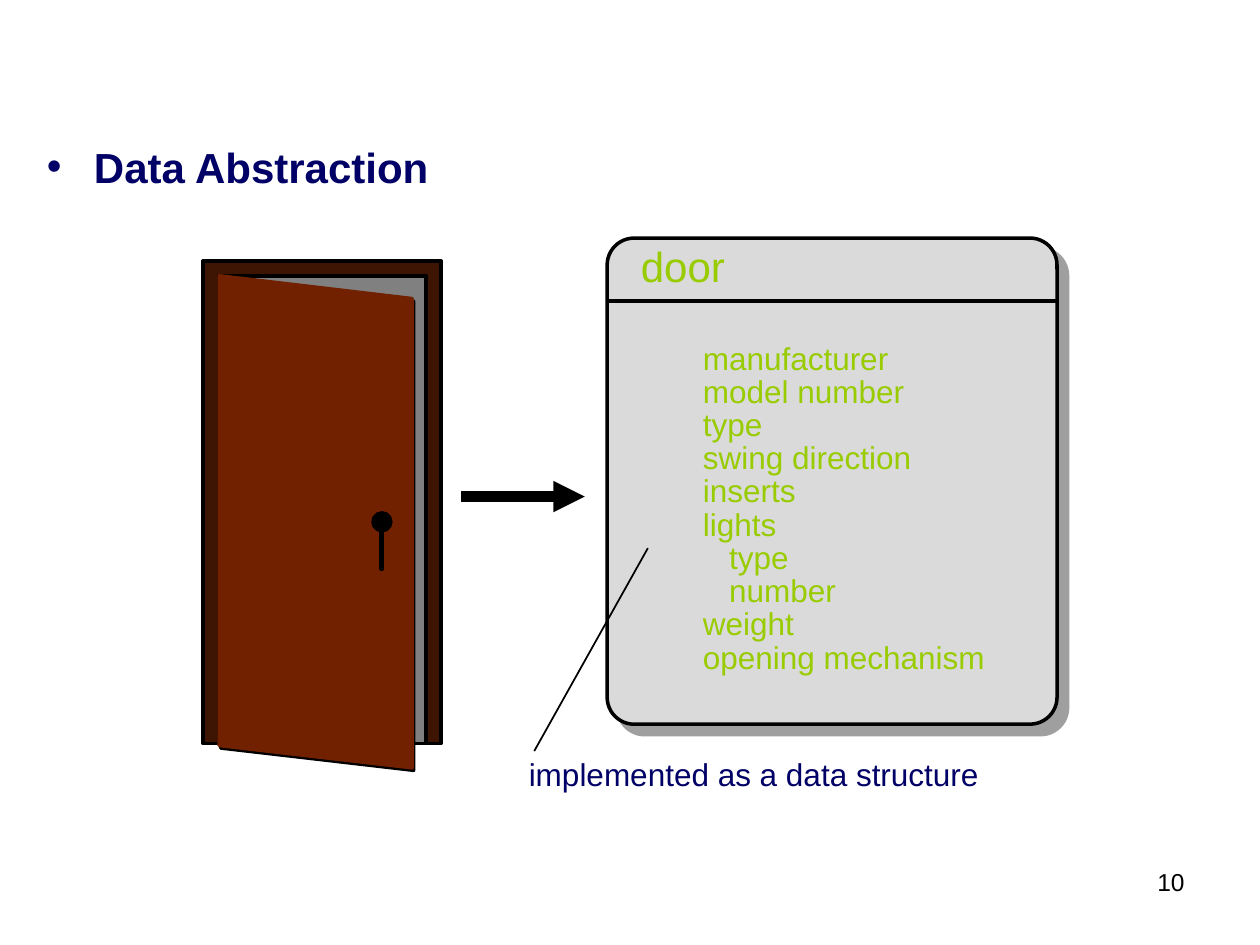
from lxml import etree
from pptx import Presentation
from pptx import util as u
from pptx.dml.color import RGBColor
from pptx.enum import shapes, text
from pptx.oxml import ns

NAVY, GREEN, BLACK = "000066", "99CC00", "000000"


def paint(shape, fill, line, width=2):
    shape.shadow.inherit = False
    if fill:
        shape.fill.solid()
        shape.fill.fore_color.rgb = RGBColor.from_string(fill)
    elif fill == "":
        shape.fill.background()
    shape.line.color.rgb = RGBColor.from_string(line)
    shape.line.width = u.Pt(width)


def write(box, words, size, color, indent=0):
    frame = box.text_frame
    frame.word_wrap = True
    frame.text = words
    para = frame.paragraphs[0]
    if indent:
        para._p.get_or_add_pPr().set("marL", str(u.Cm(indent)))
    span = para.runs[0]
    span.font.name = "Arial"
    span.font.size = u.Pt(size)
    span.font.color.rgb = RGBColor.from_string(color)
    return para


deck = Presentation()
deck.slide_width, deck.slide_height = u.Cm(25.4), u.Cm(19.05)
page = deck.slides.add_slide(deck.slide_layouts[1])
title, body = page.placeholders
title._element.getparent().remove(title._element)

body.left, body.top, body.width, body.height = u.Cm(0.69), u.Cm(2.72), u.Cm(22.86), u.Cm(3.81)
heading = write(body, "Data Abstraction", 24, NAVY)
heading.runs[0].font.bold = True
heading.space_before = u.Pt(0)
props = heading._p.get_or_add_pPr()
props.set("marL", str(u.Cm(0.95)))
props.set("indent", str(-u.Cm(0.95)))
bullet_color = etree.SubElement(props, ns.qn("a:buClr"))
etree.SubElement(bullet_color, ns.qn("a:srgbClr"), val=NAVY)
etree.SubElement(props, ns.qn("a:buChar"), char="•")

number = page.shapes.add_textbox(u.Cm(18.9), u.Cm(17.35), u.Cm(5.23), u.Cm(1.32))
write(number, "10", 14, BLACK).alignment = text.PP_ALIGN.RIGHT

panel = page.shapes.add_shape(
    shapes.MSO_SHAPE.ROUNDED_RECTANGLE, u.Cm(12.24), u.Cm(4.8), u.Cm(9.07), u.Cm(9.8))
panel.adjustments[0] = 0.06
paint(panel, "DADADA", BLACK)
effects = panel._element.spPr.find(ns.qn("a:effectLst"))
shadow = etree.SubElement(effects, ns.qn("a:outerShdw"), dist=str(u.Pt(8.5)),
                          dir="2700000", algn="ctr", rotWithShape="0")
shade = etree.SubElement(shadow, ns.qn("a:srgbClr"), val="808080")
etree.SubElement(shade, ns.qn("a:alpha"), val="75000")

lines = [
    (12.24, 6.07, 21.29, 6.07, 2),
    (13.06, 11.05, 10.77, 15.14, 1),
    (9.3, 10.01, 11.79, 10.01, 6),
]
for x1, y1, x2, y2, width in lines:
    connector = page.shapes.add_connector(
        shapes.MSO_CONNECTOR.STRAIGHT, u.Cm(x1), u.Cm(y1), u.Cm(x2), u.Cm(y2))
    connector.line.color.rgb = RGBColor.from_string(BLACK)
    connector.line.width = u.Pt(width)
    etree.SubElement(connector._element.spPr, ns.qn("a:effectLst"))
arrow = connector
etree.SubElement(arrow.line._get_or_add_ln(), ns.qn("a:tailEnd"), type="triangle")

name = page.shapes.add_textbox(u.Cm(12.67), u.Cm(4.72), u.Cm(4), u.Cm(1.27))
write(name, "door", 24, GREEN)
caption = page.shapes.add_textbox(u.Cm(10.41), u.Cm(15.09), u.Cm(10), u.Cm(1.02))
write(caption, "implemented as a data structure", 18, NAVY)

attributes = [
    ("manufacturer", 0), ("model number", 0), ("type", 0), ("swing direction", 0),
    ("inserts", 0), ("lights", 0), ("type", 0.53), ("number", 0.53),
    ("weight", 0), ("opening mechanism", 0),
]
for row, (attribute, indent) in enumerate(attributes):
    box = page.shapes.add_textbox(
        u.Cm(13.92), u.Cm(6.7 + row * 0.67), u.Cm(6.6), u.Cm(1.02))
    write(box, attribute, 18, GREEN, indent)

frame_parts = [
    (4.09, 5.26, 4.8, 9.73, "3E1403"),
    (4.42, 5.56, 4.17, 9.43, "808080"),
]
for left, top, width, height, fill in frame_parts:
    part = page.shapes.add_shape(
        shapes.MSO_SHAPE.RECTANGLE, u.Cm(left), u.Cm(top), u.Cm(width), u.Cm(height))
    paint(part, fill, BLACK)

for left, top, fill, line in [(4.45, 5.61, "", BLACK), (4.42, 5.56, "712000", "712000")]:
    corners = [(left + 3.89, top + 0.46), (left + 3.89, top + 9.92), (left, top + 9.47)]
    outline = page.shapes.build_freeform(u.Cm(left), u.Cm(top))
    outline.add_line_segments([(u.Cm(x), u.Cm(y)) for x, y in corners], close=True)
    paint(outline.convert_to_shape(), fill, line)

handle_parts = [
    (shapes.MSO_SHAPE.OVAL, 7.52, 10.34, 0.36, 0.36),
    (shapes.MSO_SHAPE.RECTANGLE, 7.67, 10.64, 0.03, 0.84),
]
for kind, left, top, width, height in handle_parts:
    part = page.shapes.add_shape(kind, u.Cm(left), u.Cm(top), u.Cm(width), u.Cm(height))
    paint(part, BLACK, BLACK)

deck.save("out.pptx")
